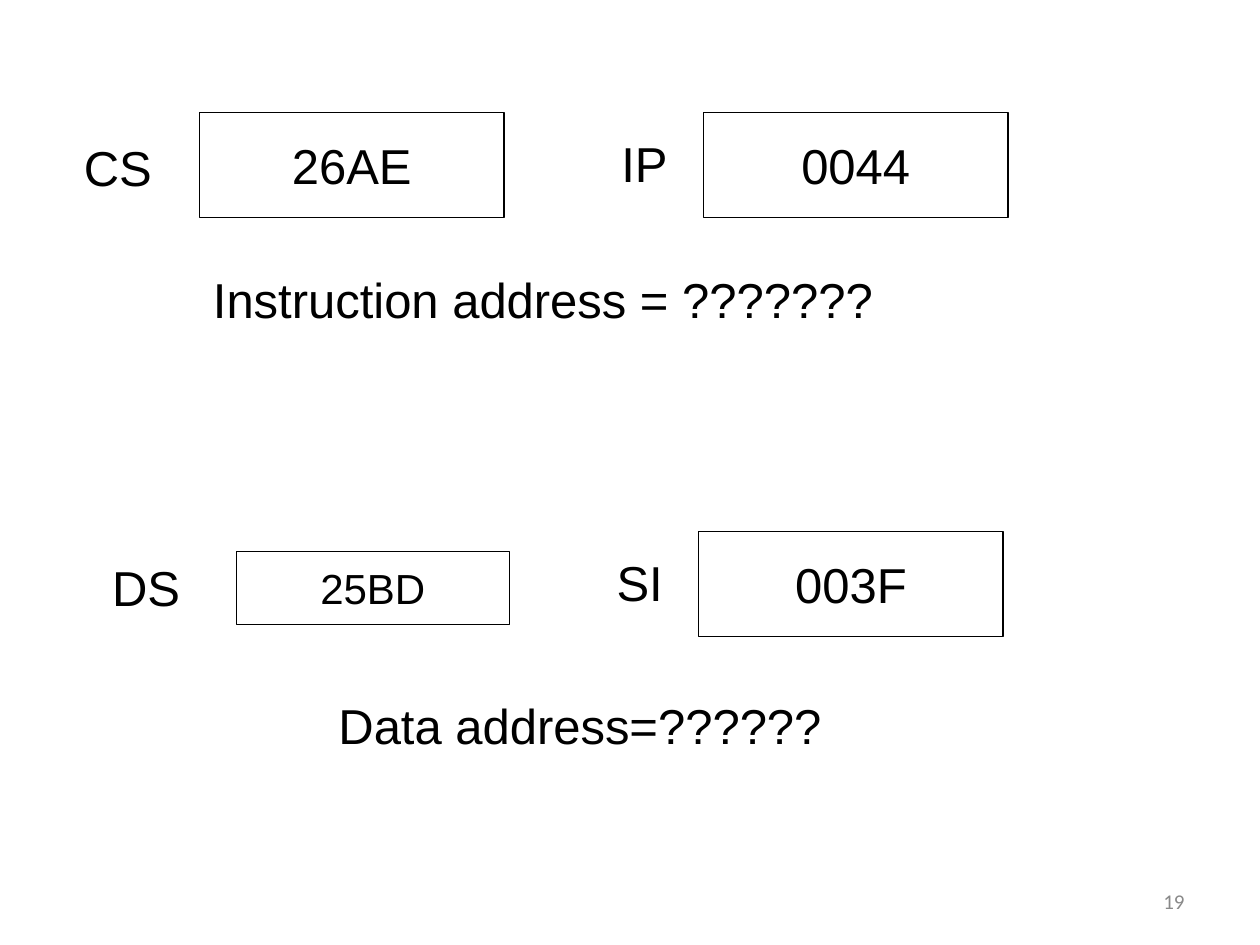
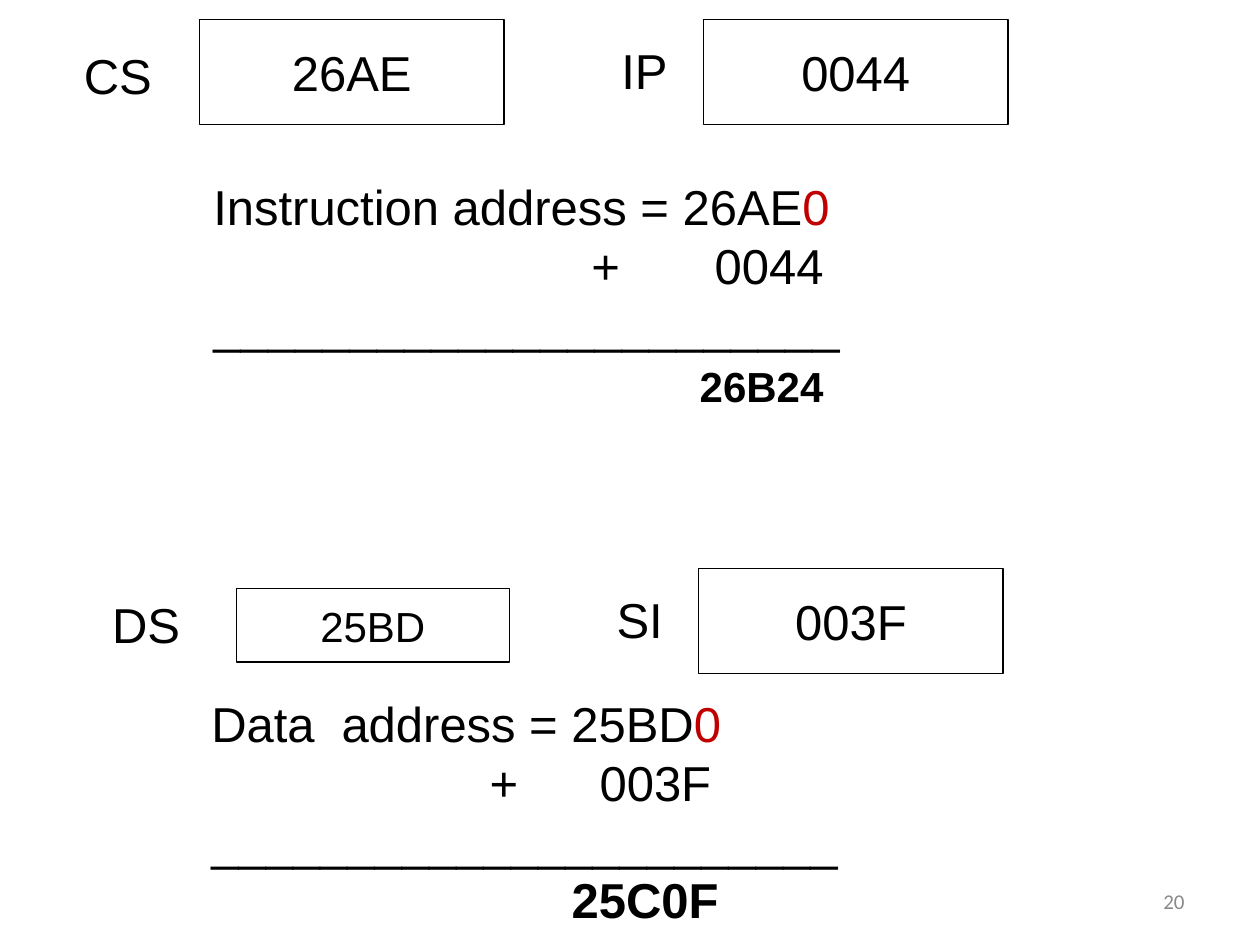
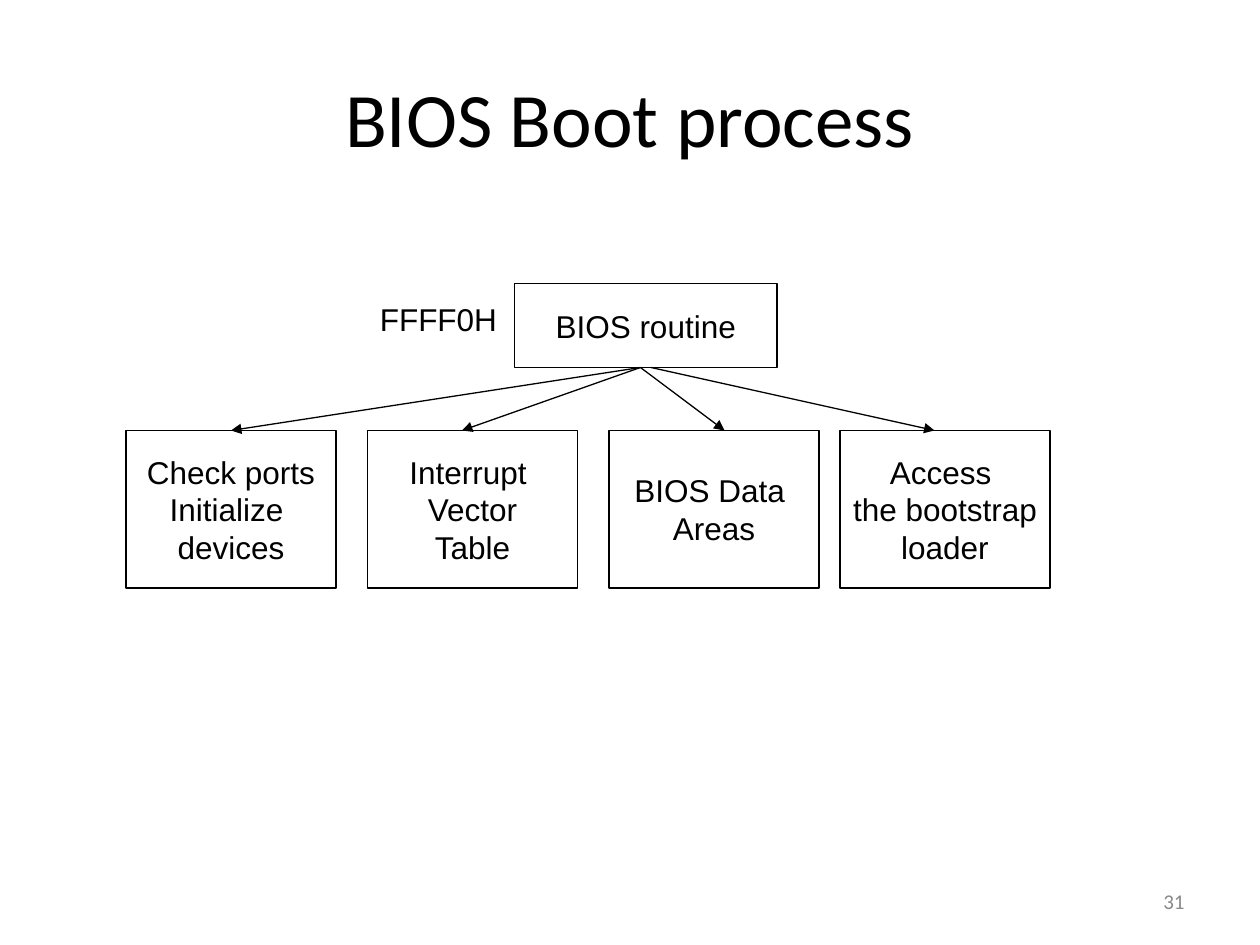
import lxml.etree
import pptx
import pptx.dml.color
import pptx.enum.shapes
import pptx.enum.text
import pptx.oxml.ns
import pptx.util

BLACK = pptx.dml.color.RGBColor(0x00, 0x00, 0x00)
WHITE = pptx.dml.color.RGBColor(0xFF, 0xFF, 0xFF)
GRAY = pptx.dml.color.RGBColor(0x89, 0x89, 0x89)
RED = pptx.dml.color.RGBColor(0xC0, 0x00, 0x00)

COLUMNS, ROWS = 120, 90
CELL = pptx.util.Inches(10) // COLUMNS
LABEL_HEIGHT = 6.8
SUM_RULE = "_" * 23

ALIGN = pptx.enum.text.PP_ALIGN
ANCHOR = pptx.enum.text.MSO_ANCHOR
TITLE_ONLY, BLANK = 5, 6


def grid(*cells):
    return [round(cell * CELL) for cell in cells]


def add_xml(parent, tag, **attributes):
    return lxml.etree.SubElement(parent, pptx.oxml.ns.qn(tag), attributes)


def set_tabs(paragraph, stops):
    tab_list = add_xml(paragraph._p.get_or_add_pPr(), "a:tabLst")
    for column, side in stops:
        add_xml(tab_list, "a:tab", pos=str(grid(column)[0]), algn=side)


def write(shape, text, size=28, font="Arial", color=BLACK, align=ALIGN.LEFT,
          anchor=ANCHOR.TOP, wrap=False, tabs=()):
    frame = shape.text_frame
    frame.word_wrap = wrap
    frame.vertical_anchor = anchor
    lines = text.split("\n") if isinstance(text, str) else text
    for index, line in enumerate(lines):
        paragraph = frame.add_paragraph() if index else frame.paragraphs[0]
        paragraph.alignment = align
        if index < len(tabs) and tabs[index]:
            set_tabs(paragraph, tabs[index])
        for words, changes in [(line, {})] if isinstance(line, str) else line:
            run = paragraph.add_run()
            run.text = words
            run.font.name = font
            run.font.size = pptx.util.Pt(changes.get("size", size))
            run.font.bold = changes.get("bold", False)
            run.font.color.rgb = changes.get("color", color)


def add_label(slide, area, text, **style):
    label = slide.shapes.add_textbox(*grid(*area))
    write(label, text, **style)


def add_cell(slide, area, text, **style):
    cell = slide.shapes.add_shape(
        pptx.enum.shapes.MSO_SHAPE.RECTANGLE, *grid(*area))
    cell.shadow.inherit = False
    cell.fill.solid()
    cell.fill.fore_color.rgb = WHITE
    cell.line.color.rgb = BLACK
    cell.line.width = pptx.util.Pt(0.75)
    write(cell, text, align=ALIGN.CENTER, anchor=ANCHOR.MIDDLE, **style)
    return cell


def add_arrow(slide, start, end):
    arrow = slide.shapes.add_connector(
        pptx.enum.shapes.MSO_CONNECTOR.STRAIGHT, *grid(*start, *end))
    arrow.line.color.rgb = BLACK
    arrow.line.width = pptx.util.Pt(0.75)
    add_xml(arrow.line._get_or_add_ln(), "a:tailEnd", type="triangle")
    add_xml(arrow._element.spPr, "a:effectLst")
    return arrow


def add_slide(presentation, layout, number):
    slide = presentation.slides.add_slide(presentation.slide_layouts[layout])
    add_label(slide, (86, 83.4, 28, 4.8), number, size=12, font="Calibri",
              color=GRAY, align=ALIGN.RIGHT, anchor=ANCHOR.MIDDLE, wrap=True)
    return slide


def add_register(slide, area, name, value, cell_width, label_width, drop, size=28):
    left, top, width, height = area
    add_label(slide, (left, top + drop, label_width, LABEL_HEIGHT), name)
    add_cell(slide, (left + width - cell_width, top, cell_width, height),
             value, size=size)


def add_code_registers(slide, top):
    add_register(slide, (6.8, top, 41.2, 10), "CS", "26AE", 29, 9, 1.85)
    add_register(slide, (58, top, 38, 10), "IP", "0044", 29, 7, 1.4)


def add_data_registers(slide, top):
    add_register(slide, (9.5, top + 1.9, 39, 7), "DS", "25BD", 26, 9, 0, size=24)
    add_register(slide, (57.55, top, 38, 10), "SI", "003F", 29, 7, 1.4)


def add_sum(slide, left, top, caption, segment, offset, total, total_size,
            plus, offset_right, total_right, caption_tabs=()):
    lines = [
        [(caption + segment, {}), ("0", {"color": RED})],
        f"\t+\t{offset}",
        SUM_RULE,
        [("\t", {}), (total, {"size": total_size, "bold": True})],
    ]
    tabs = [caption_tabs, [(plus, "l"), (offset_right, "r")], (),
            [(total_right, "r")]]
    add_label(slide, (left, top, 62.4, 23.6), lines, wrap=True, tabs=tabs)


def build_question(presentation):
    slide = add_slide(presentation, BLANK, "19")
    add_code_registers(slide, 10.7)
    add_label(slide, (19.1, 25.1, 65.2, LABEL_HEIGHT), "Instruction address = ???????")
    add_data_registers(slide, 50.6)
    add_label(slide, (31.05, 65.65, 48.4, LABEL_HEIGHT), "Data address=??????")


def build_answer(presentation):
    slide = add_slide(presentation, BLANK, "20")
    add_code_registers(slide, 1.85)
    add_sum(slide, 19.15, 16.25, "Instruction address = ", "26AE", "0044",
            "26B24", 24, plus=36, offset_right=58.1, total_right=58.1)
    add_data_registers(slide, 54.15)
    add_sum(slide, 18.95, 65.45, "Data\taddress = ", "25BD", "003F",
            "25C0F", 28, plus=26.5, offset_right=47.6, total_right=48.3,
            caption_tabs=[(12.4, "l")])


def add_boot_tree(slide, left, top):
    add_cell(slide, (left + 37, top, 25, 8), "BIOS routine", size=18)
    add_label(slide, (left + 23, top + 1, 13.6, 4.8), "FFFF0H", size=18)
    steps = [
        (0, "Check ports\nInitialize \ndevices", 49, 10),
        (23, "Interrupt \nVector\nTable", 49, 32),
        (46, "BIOS Data \nAreas", 49, 57),
        (68, "Access \nthe bootstrap\nloader", 50, 77),
    ]
    step_width = 20
    for column, text, start, end in steps:
        step = add_cell(slide, (left + column, top + 14, step_width, 15), text, size=18)
        arrow = add_arrow(slide, (left + start, top + 8), (left + end, top + 14))
        if end == column + step_width / 2:
            arrow.end_connect(step, 0)


def build_boot_process(presentation):
    slide = add_slide(presentation, TITLE_ONLY, "31")
    title = slide.shapes.title
    title.left, title.top, title.width, title.height = grid(6, 3.6, 108, 15)
    write(title, "BIOS Boot process", size=44, font="Calibri",
          align=ALIGN.CENTER, anchor=ANCHOR.MIDDLE, wrap=True)
    add_boot_tree(slide, 12, 27)


def main():
    presentation = pptx.Presentation()
    presentation.slide_width = COLUMNS * CELL
    presentation.slide_height = ROWS * CELL
    build_question(presentation)
    build_answer(presentation)
    build_boot_process(presentation)
    presentation.save("out.pptx")


if __name__ == "__main__":
    main()
